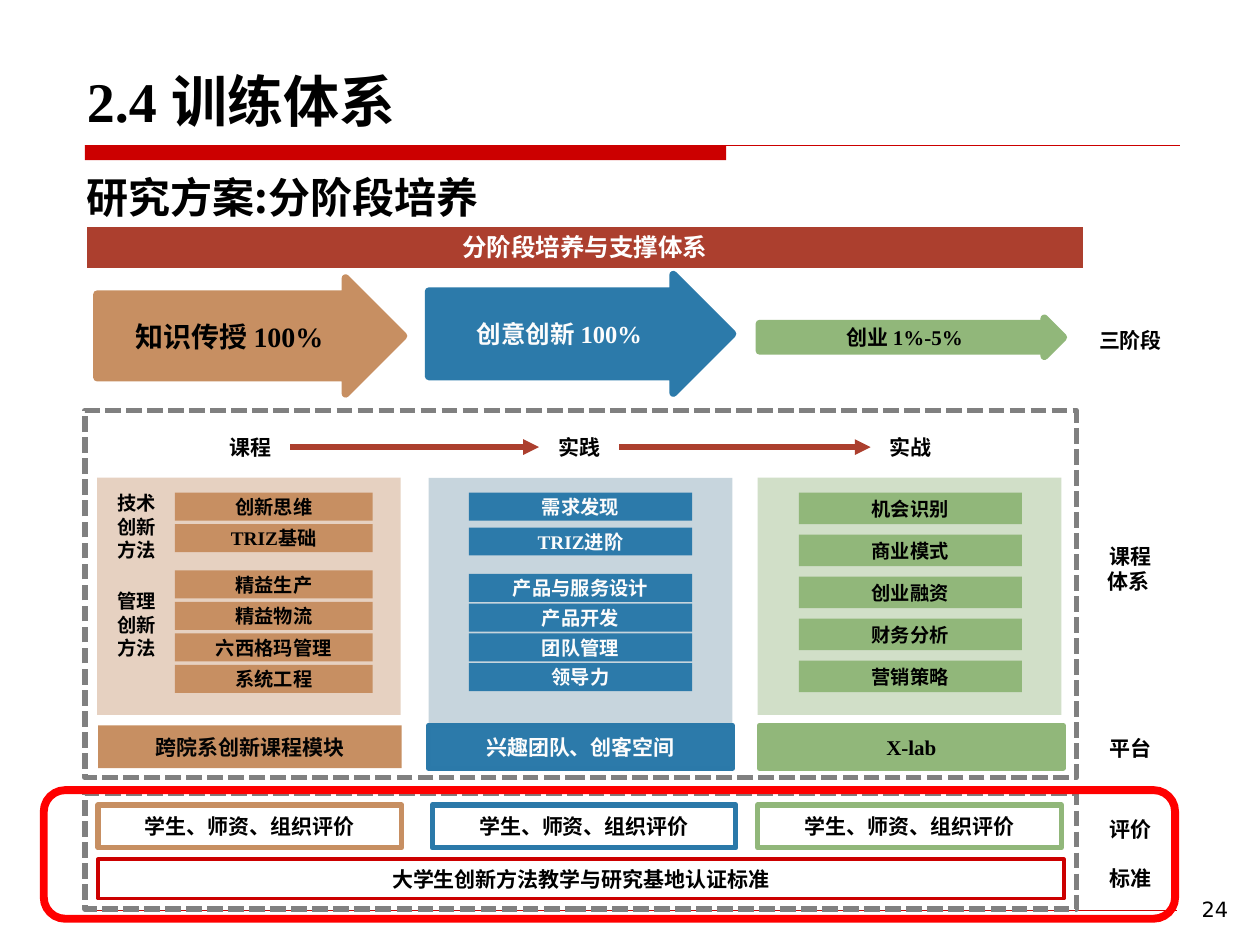
from lxml import etree
from pptx import Presentation
from pptx.dml.color import RGBColor
from pptx.enum.dml import MSO_LINE
from pptx.enum.shapes import MSO_CONNECTOR, MSO_SHAPE
from pptx.enum.text import MSO_ANCHOR, PP_ALIGN
from pptx.oxml.ns import qn
from pptx.util import Pt

RECT, ROUNDED, ARROW = MSO_SHAPE.RECTANGLE, MSO_SHAPE.ROUNDED_RECTANGLE, MSO_SHAPE.RIGHT_ARROW
LEFT, CENTER, RIGHT = PP_ALIGN.LEFT, PP_ALIGN.CENTER, PP_ALIGN.RIGHT
TOP, MIDDLE, BOTTOM = MSO_ANCHOR.TOP, MSO_ANCHOR.MIDDLE, MSO_ANCHOR.BOTTOM
STRAIGHT = MSO_CONNECTOR.STRAIGHT
DASHED = MSO_LINE.SQUARE_DOT

COLORS = {
    "black": "000000", "ink": "030303", "white": "FFFFFF", "pale": "FCFCFC",
    "red": "CC0000", "bright": "FF0000", "brick": "AC3F2E", "gray": "808080",
    "brown": "C78F62", "blue": "2C7AAA", "blue_edge": "2B79A9", "green": "91B77A",
    "brown_tint": "E6D1C1", "blue_tint": "C7D5DD", "green_tint": "D1DFC8",
}
SERIF, HAN, SANS, MONO = "Times New Roman", "Noto Sans CJK SC", "DejaVu Sans", "Courier New"


class Board:
    def __init__(self, slide):
        self.slide = slide
        self.shapes = slide.shapes

    def color(self, name):
        return RGBColor.from_string(COLORS[name])

    def style(self, font, size, color, face, bold):
        font.size, font.bold, font.name = Pt(size), bold, face
        font.color.rgb = self.color(color)

    def han_face(self, font_element):
        etree.SubElement(font_element, qn("a:ea")).set("typeface", HAN)

    def fill_text(self, frame, lines, size, color, face, bold, align, anchor):
        frame.word_wrap = True
        frame.vertical_anchor = anchor
        for index, line in enumerate(lines.split("\n")):
            paragraph = frame.add_paragraph() if index else frame.paragraphs[0]
            paragraph.text = line
            paragraph.alignment = align
            self.style(paragraph.font, size, color, face, bold)
            self.han_face(paragraph._p.pPr.find(qn("a:defRPr")))

    def title(self, box, parts):
        heading = self.shapes.title
        heading.left, heading.top, heading.width, heading.height = map(Pt, box)
        heading.text_frame.vertical_anchor = BOTTOM
        paragraph = heading.text_frame.paragraphs[0]
        paragraph.alignment = LEFT
        for words, face in parts:
            run = paragraph.add_run()
            run.text = words
            self.style(run.font, 32, "black", face, True)
            self.han_face(run._r.rPr)

    def text(self, box, words, size=12, face=SERIF, bold=True, align=CENTER, anchor=MIDDLE):
        label = self.shapes.add_textbox(*map(Pt, box))
        self.fill_text(label.text_frame, words, size, "black", face, bold, align, anchor)

    def block(self, box, kind=RECT, fill=None, edge=None, width=3, dash=None,
              words="", size=12, color="black", face=SERIF):
        item = self.shapes.add_shape(kind, *map(Pt, box))
        item.shadow.inherit = False
        if fill:
            item.fill.solid()
            item.fill.fore_color.rgb = self.color(fill)
        else:
            item.fill.background()
        if edge:
            item.line.color.rgb = self.color(edge)
            item.line.width = Pt(width)
            if dash:
                item.line.dash_style = dash
        else:
            item.line.fill.background()
        if words:
            frame = item.text_frame
            frame.margin_left = frame.margin_right = frame.margin_top = frame.margin_bottom = 0
            self.fill_text(frame, words, size, color, face, True, CENTER, MIDDLE)
        return item

    def arrow_block(self, box, fill, words, size, color):
        arrow = self.block(box, ARROW, fill, fill, 4.5, words=words, size=size, color=color)
        arrow.adjustments[0], arrow.adjustments[1] = 0.72, 0.5

    def line(self, left, right, y, color, width, head=False):
        rule = self.shapes.add_connector(STRAIGHT, Pt(left), Pt(y), Pt(right), Pt(y))
        rule.line.color.rgb = self.color(color)
        rule.line.width = Pt(width)
        properties = rule._element.spPr
        if head:
            etree.SubElement(properties.find(qn("a:ln")), qn("a:tailEnd")).set("type", "triangle")
        etree.SubElement(properties, qn("a:effectLst"))


STAGES = [
    {
        "fill": "brown", "tint": "brown_tint", "color": "black", "edge": "brown",
        "stage": ((55.5, 159, 175, 66), "知识传授 100%", 16),
        "panel": (55.5, 273, 173.5, 135.5),
        "course_left": 100, "course_width": 113, "course_height": 16,
        "courses": [(281.5, 18, ["创新思维", "TRIZ基础"]),
                    (326, 18, ["精益生产", "精益物流", "六西格玛管理", "系统工程"])],
        "platform": (56, "跨院系创新课程模块", None, "ink", MONO), "review_left": 56,
    },
    {
        "fill": "blue", "tint": "blue_tint", "color": "pale", "edge": "blue_edge",
        "stage": ((245, 157, 173.5, 67.5), "创意创新 100%", 14),
        "panel": (245, 273, 173.5, 159),
        "course_left": 268, "course_width": 127.5, "course_height": 16,
        "courses": [(281.5, 20, ["需求发现", "TRIZ进阶"]),
                    (328, 17, ["产品与服务设计", "产品开发", "团队管理", "领导力"])],
        "platform": (245, "兴趣团队、创客空间", "blue_edge", "pale", SERIF), "review_left": 247,
    },
    {
        "fill": "green", "tint": "green_tint", "color": "black", "edge": "green",
        "stage": ((434, 182, 173.5, 21.5), "创业 1%-5%", 12),
        "panel": (433, 273, 173.5, 135.5),
        "course_left": 456.5, "course_width": 127.5, "course_height": 18,
        "courses": [(281.5, 24, ["机会识别", "商业模式", "创业融资", "财务分析", "营销策略"])],
        "platform": (434, "X-lab", "green", "black", SERIF), "review_left": 433,
    },
]
ROW_LABELS = [(182, 24.5, "三阶段"), (312.5, 24.5, "课程\n体系 "), (410.5, 34, "平台"),
              (461.5, 24.5, "评价"), (489.5, 24.5, "标准")]
METHODS = [(284.5, "技术创新方法"), (340.5, "管理创新方法")]
STEPS = [(120, "课程"), (308, "实践"), (497.5, "实战")]
STEP_WIDTH = 46


def main():
    deck = Presentation()
    deck.slide_width, deck.slide_height = Pt(720), Pt(540)
    board = Board(deck.slides.add_slide(deck.slide_layouts[5]))

    board.block((48.5, 83, 366.5, 8.6), fill="red")
    board.line(48.5, 674.5, 83, "red", 0.75)
    board.line(48.5, 672.5, 520, "red", 0.25)
    board.title((42.5, 9.5, 630, 70.5), [("2.4 ", SERIF), ("训练体系", HAN)])
    board.text((553, 508.5, 156, 37.5), "24", face=SANS, bold=False, align=RIGHT, anchor=TOP)
    board.text((42.5, 94.5, 368.5, 36), "研究方案:分阶段培养", 24, HAN, align=LEFT, anchor=TOP)
    board.block((48.5, 128.5, 571.5, 25.5), fill="brick", edge="white", width=2,
                words="分阶段培养与支撑体系", size=14, color="white")

    for stage in STAGES:
        box, words, size = stage["stage"]
        board.arrow_block(box, stage["fill"], words, size, stage["color"])
        board.block(stage["panel"], fill=stage["tint"])
        for top, step, courses in stage["courses"]:
            for index, course in enumerate(courses):
                board.block((stage["course_left"], top + index * step,
                             stage["course_width"], stage["course_height"]),
                            fill=stage["fill"], words=course, size=11, color=stage["color"])
        left, words, edge, color, face = stage["platform"]
        board.block((left, 414.5, 173.5, 24.5), fill=stage["fill"], edge=edge,
                    words=words, color=color, face=face)
        board.block((stage["review_left"], 460, 173.5, 24.5), edge=stage["edge"],
                    words="学生、师资、组织评价")

    for top, height, words in ROW_LABELS:
        board.text((620.5, top, 51, height), words)
    for top, method in METHODS:
        board.text((60, top, 41.5, 32.5), method, 11, align=LEFT)

    for top, height in [(234.5, 210), (453.5, 66)]:
        board.block((48.5, top, 566.5, height), edge="gray", dash=DASHED)
    for left, step in STEPS:
        board.text((left, 242.5, STEP_WIDTH, 26), step)
    for (start, _), (end, _) in zip(STEPS, STEPS[1:]):
        board.line(start + STEP_WIDTH, end, 255.5, "brick", 3, head=True)

    board.block((56, 491, 552, 22.5), fill="white", edge="red", width=2,
                words="大学生创新方法教学与研究基地认证标准")
    board.block((25, 451.5, 646.5, 73.5), ROUNDED, edge="bright", width=4.5)

    deck.save("out.pptx")


if __name__ == "__main__":
    main()
